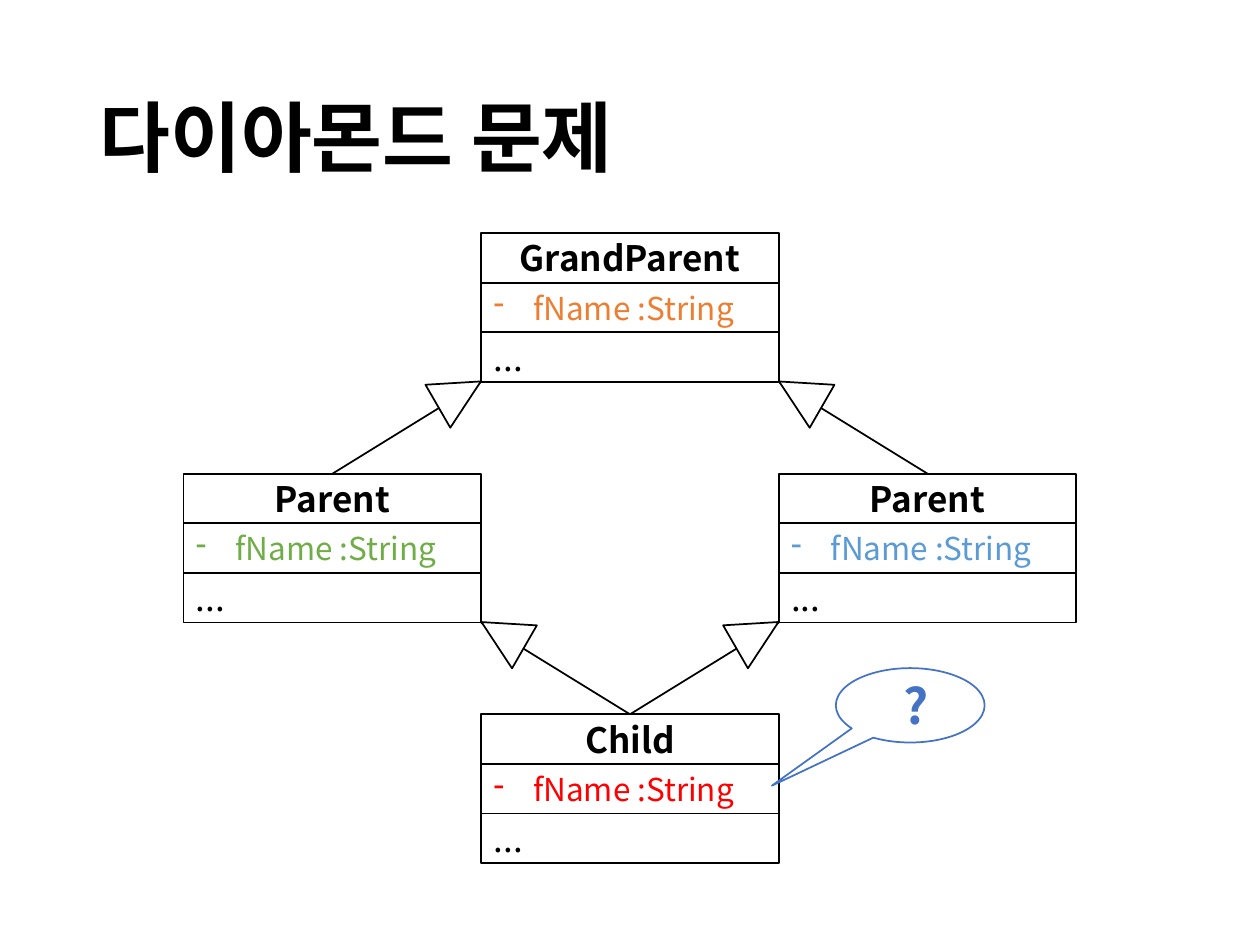
from dataclasses import dataclass

from lxml.etree import SubElement
from pptx import Presentation
from pptx.dml.color import RGBColor as Rgb
from pptx.enum.shapes import MSO_CONNECTOR as Link, MSO_SHAPE as Kind
from pptx.enum.text import MSO_ANCHOR as Anchor, MSO_AUTO_SIZE as Fit, PP_ALIGN as Align
from pptx.oxml.ns import qn
from pptx.shapes.autoshape import Shape
from pptx.util import Cm, Pt


@dataclass(frozen=True)
class Theme:
    face: str = "Noto Sans CJK KR"
    ink: str = "000000"
    paper: str = "FFFFFF"
    note: str = "4472C4"
    head: int = 44
    mark: int = 28
    name: int = 20
    field: int = 18


@dataclass(frozen=True)
class Box:
    name: str
    col: int
    row: int
    color: str

    @property
    def left(self) -> float:
        return 3.7 + self.col * WIDE

    @property
    def top(self) -> float:
        return 4.7 + self.row * 4.85

    @property
    def mid(self) -> float:
        return self.left + WIDE / 2


WIDE, CELL = 6, 1
theme = Theme()
grand = Box("GrandParent", 1, 0, "ED7D31")
west = Box("Parent", 0, 1, "70AD47")
east = Box("Parent", 2, 1, "5B9BD5")
child = Box("Child", 1, 2, "FF0000")

deck = Presentation()
deck.slide_width, deck.slide_height = Cm(25.4), Cm(19.05)
slide = deck.slides.add_slide(deck.slide_layouts[5])


def write(shape: Shape, text: str, size: int, color: str = theme.ink,
          bold: bool = False, align: Align = Align.LEFT):
    frame = shape.text_frame
    frame.word_wrap, frame.vertical_anchor = True, Anchor.MIDDLE
    frame.text = text
    par = frame.paragraphs[0]
    par.alignment = align
    font = par.font
    font.name, font.size, font.bold = theme.face, Pt(size), bold
    font.color.rgb = Rgb.from_string(color)
    # East Asian text takes its own typeface
    SubElement(par._p.pPr.find(qn("a:defRPr")), qn("a:ea"), typeface=theme.face)
    return par


def draw(kind: Kind, left: float, top: float, wide: float, high: float,
         line: str = theme.ink, fill: str = "") -> Shape:
    shape = slide.shapes.add_shape(kind, Cm(left), Cm(top), Cm(wide), Cm(high))
    shape.shadow.inherit = False
    shape.line.color.rgb, shape.line.width = Rgb.from_string(line), Pt(1)
    if fill:
        shape.fill.solid()
        shape.fill.fore_color.rgb = Rgb.from_string(fill)
    else:
        shape.fill.background()
    return shape


def dash(par) -> None:
    props = par._p.get_or_add_pPr()
    props.set("marL", str(Cm(0.8)))
    props.set("indent", str(Cm(-0.8)))
    bullet = props.makeelement(qn("a:buChar"), {"char": "-"})
    props.find(qn("a:defRPr")).addprevious(bullet)


def table(box: Box) -> None:
    name, field, rest = (draw(Kind.RECTANGLE, box.left, box.top + i * CELL, WIDE, CELL)
                         for i in range(3))
    write(name, box.name, theme.name, bold=True, align=Align.CENTER)
    dash(write(field, "fName :String", theme.field, box.color))
    write(rest, "...", theme.name)


def inherit(sub: Box, base: Box) -> None:
    side = 1 if sub.col < base.col else -1
    tip_x = base.left if side > 0 else base.left + WIDE
    tip_y = base.top + 3 * CELL
    line = slide.shapes.add_connector(Link.STRAIGHT, Cm(sub.mid), Cm(sub.top),
                                      Cm(tip_x), Cm(tip_y))
    line.line.color.rgb, line.line.width = Rgb.from_string(theme.ink), Pt(1)
    SubElement(line._element.spPr, qn("a:effectLst"))
    head = draw(Kind.ISOSCELES_TRIANGLE, tip_x - side * 0.44 - CELL / 2,
                tip_y + 0.24 - CELL / 2, CELL, CELL, fill=theme.paper)
    head.rotation = 60 * side % 360


# Title
title = slide.shapes.title
title.left, title.top, title.width, title.height = Cm(1.75), Cm(1.02), Cm(21.9), Cm(3.68)
write(title, "다이아몬드 문제", theme.head, bold=True).line_spacing = 0.9
title.text_frame.auto_size = Fit.NONE

# Classes
for box in (grand, west, east, child):
    table(box)

# Inheritance arrows
for sub, base in ((west, grand), (east, grand), (child, east), (child, west)):
    inherit(sub, base)

# Question callout
ask = draw(Kind.OVAL_CALLOUT, 16.85, 13.47, 3, 1.5, theme.note, theme.paper)
ask.adjustments[0], ask.adjustments[1] = -0.93, 1.08
write(ask, " ?", theme.mark, theme.note, True, Align.CENTER)

deck.save("out.pptx")
